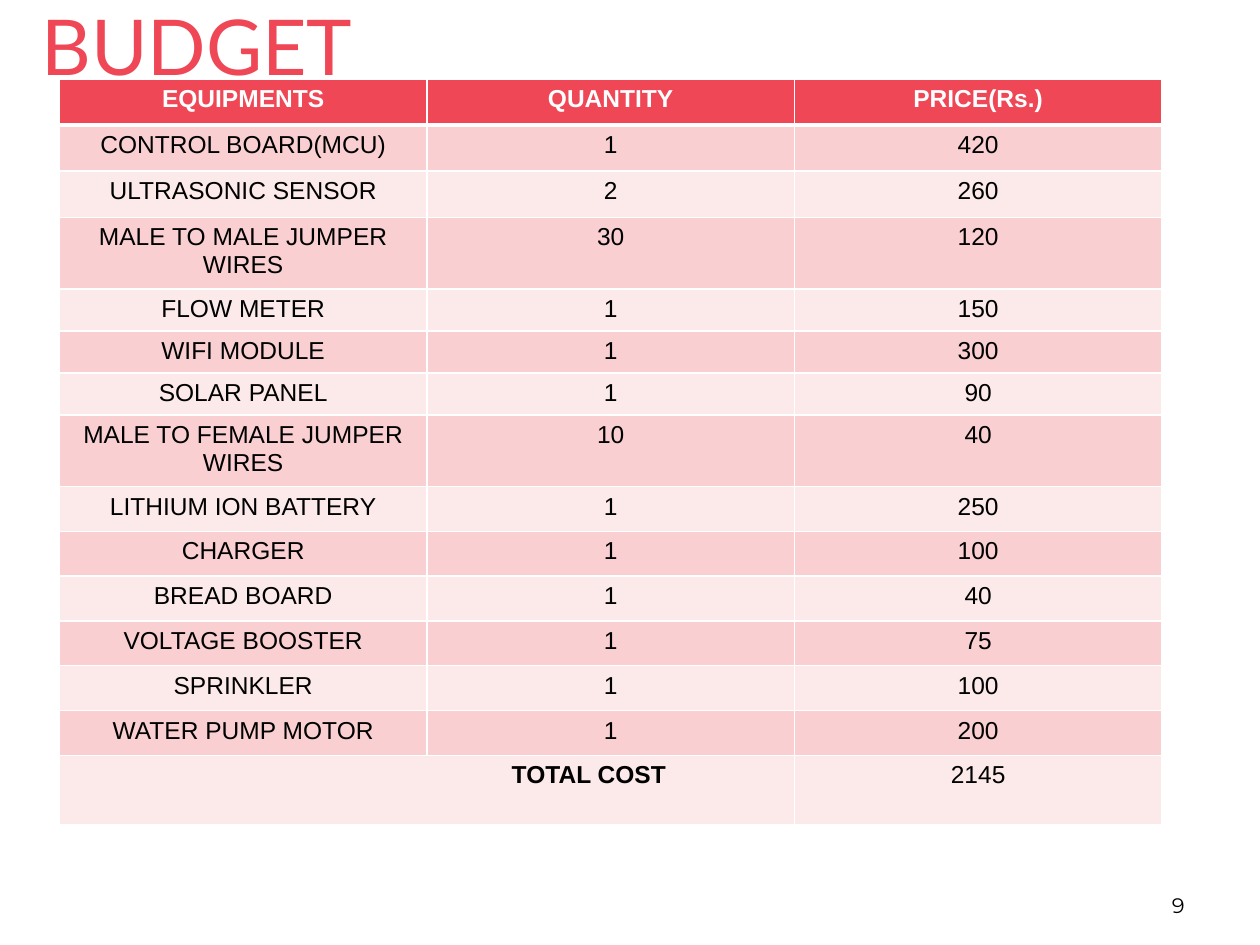
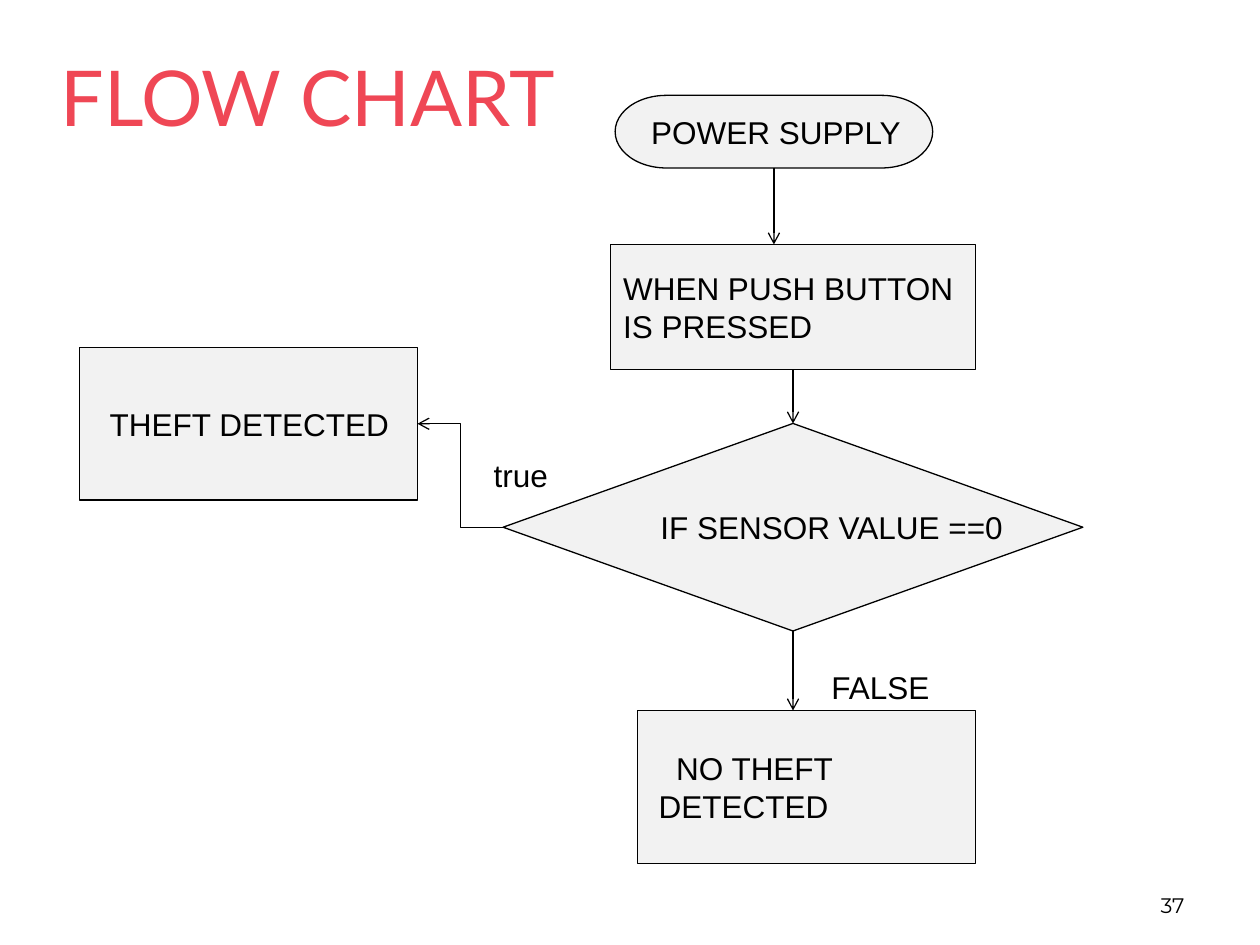
"""Build a two-slide project deck: a budget table and a flow chart."""
import lxml.etree
import pptx
import pptx.dml.color
import pptx.enum.shapes
import pptx.enum.text
import pptx.oxml.ns
import pptx.util

Pt = pptx.util.Pt
ALIGN = pptx.enum.text.PP_ALIGN
ANCHOR = pptx.enum.text.MSO_ANCHOR
SHAPE = pptx.enum.shapes.MSO_SHAPE
CONNECTOR = pptx.enum.shapes.MSO_CONNECTOR

COLORS = {"accent": "EF4755", "dark_band": "F9CFD1", "light_band": "FCE9E9",
          "box": "F2F2F2", "ink": "000000", "paper": "FFFFFF"}
BODY_FONT, TITLE_FONT, NUMBER_FONT = "Arial", "Lato", "Montserrat"
TOP, LEFT, BOTTOM, RIGHT = range(4)

HEADINGS = ("EQUIPMENTS", "QUANTITY", "PRICE(Rs.)")
ITEMS = [
    ("CONTROL BOARD(MCU)", 1, 420),
    ("ULTRASONIC SENSOR", 2, 260),
    ("MALE TO MALE JUMPER WIRES", 30, 120),
    ("FLOW METER", 1, 150),
    ("WIFI MODULE", 1, 300),
    ("SOLAR PANEL", 1, 90),
    ("MALE TO FEMALE JUMPER WIRES", 10, 40),
    ("LITHIUM ION BATTERY", 1, 250),
    ("CHARGER", 1, 100),
    ("BREAD BOARD", 1, 40),
    ("VOLTAGE BOOSTER", 1, 75),
    ("SPRINKLER", 1, 100),
    ("WATER PUMP MOTOR", 1, 200),
]
TOTAL_LABEL = "TOTAL COST"
TOTAL_INDENT = 185
ROW_HEIGHTS = [26.4] * 3 + [38.4] + [22.8] * 3 + [38.4] + [25.6] * 6 + [39.9]
COLUMN_WIDTH = 210

STEPS = {
    "power": (SHAPE.FLOWCHART_TERMINATOR, (351.5, 54.5, 181.5, 41.5), [("POWER SUPPLY", 5)]),
    "button": (SHAPE.FLOWCHART_PROCESS, (349, 139.7, 208.3, 71.3),
               [("WHEN PUSH BUTTON", 0), ("IS PRESSED", 0)]),
    "sensor": (SHAPE.FLOWCHART_DECISION, (287.5, 242, 331.3, 118.6),
               [("IF SENSOR VALUE ==0", 0)]),
    "theft": (SHAPE.FLOWCHART_PROCESS, (45.6, 198.5, 193, 87.3), [("THEFT DETECTED", 10)]),
    "no_theft": (SHAPE.FLOWCHART_PROCESS, (364.3, 406, 193, 87.3),
                 [("NO THEFT", 15), ("DETECTED", 5)]),
}
ARROWS = [
    (CONNECTOR.STRAIGHT, "power", BOTTOM, "button", None),
    (CONNECTOR.STRAIGHT, "button", BOTTOM, "sensor", TOP),
    (CONNECTOR.STRAIGHT, "sensor", BOTTOM, "no_theft", None),
    (CONNECTOR.ELBOW, "sensor", LEFT, "theft", RIGHT),
]
BRANCH_LABELS = [("true", (275, 257, 51, 29)), ("FALSE", (468, 378, 136, 29))]


def color(name):
    return pptx.dml.color.RGBColor.from_string(COLORS[name])


def add_xml(parent, tag, **attributes):
    return lxml.etree.SubElement(parent, pptx.oxml.ns.qn(tag), attributes)


def write(frame, lines, size, font=BODY_FONT, ink="ink", align=ALIGN.LEFT, bold=False):
    for index, (text, indent) in enumerate(lines):
        para = frame.add_paragraph() if index else frame.paragraphs[0]
        para.alignment = align
        if indent:
            para._p.get_or_add_pPr().set("marL", str(Pt(indent)))
        span = para.add_run()
        span.text = text
        span.font.size = Pt(size)
        span.font.name = font
        span.font.bold = bold
        span.font.color.rgb = color(ink)


def add_label(page, text, area, size=18, font=BODY_FONT, align=ALIGN.LEFT, anchor=ANCHOR.TOP):
    frame = page.shapes.add_textbox(*map(Pt, area)).text_frame
    frame.word_wrap = True
    frame.vertical_anchor = anchor
    write(frame, [(text, 0)], size, font, align=align)


def add_page(deck, title, title_area, number):
    page = deck.slides.add_slide(deck.slide_layouts[5])
    box = page.shapes.title
    box.left, box.top, box.width, box.height = map(Pt, title_area)
    box.text_frame.auto_size = pptx.enum.text.MSO_AUTO_SIZE.NONE
    box.text_frame.vertical_anchor = ANCHOR.MIDDLE
    write(box.text_frame, [(title, 0)], 44, TITLE_FONT, "accent")
    add_label(page, str(number), (516, 492, 168, 36), 12, NUMBER_FONT,
              ALIGN.RIGHT, ANCHOR.BOTTOM)
    return page


def style_cell(cell, fill, top_width, bottom_width):
    properties = cell._tc.get_or_add_tcPr()
    for side, width in (("L", 1), ("R", 1), ("T", top_width), ("B", bottom_width)):
        line = add_xml(properties, f"a:ln{side}", w=str(Pt(width)))
        add_xml(add_xml(line, "a:solidFill"), "a:srgbClr", val=COLORS["paper"])
    cell.fill.solid()
    cell.fill.fore_color.rgb = color(fill)


def add_budget(page):
    total = sum(price for _, _, price in ITEMS)
    rows = [HEADINGS, *ITEMS, (TOTAL_LABEL, "", total)]
    last = len(rows) - 1
    frame = page.shapes.add_table(len(rows), len(HEADINGS), Pt(34), Pt(45),
                                  Pt(COLUMN_WIDTH * len(HEADINGS)), Pt(sum(ROW_HEIGHTS)))
    table = frame.table
    for column in table.columns:
        column.width = Pt(COLUMN_WIDTH)
    for r, values in enumerate(rows):
        table.rows[r].height = Pt(ROW_HEIGHTS[r])
        fill = "accent" if r == 0 else "dark_band" if r % 2 else "light_band"
        for c, value in enumerate(values):
            cell = table.cell(r, c)
            style_cell(cell, fill, 3 if r == 1 else 1, 3 if r == 0 else 1)
            if value != "":
                is_total = value == TOTAL_LABEL
                write(cell.text_frame, [(str(value), TOTAL_INDENT if is_total else 0)], 14,
                      ink="paper" if r == 0 else "ink", align=ALIGN.CENTER,
                      bold=r == 0 or is_total)
    table.cell(last, 0).merge(table.cell(last, 1))


def outline(line):
    line.color.rgb = color("ink")
    line.width = Pt(0.75)


def add_step(page, kind, area, lines):
    box = page.shapes.add_shape(kind, *map(Pt, area))
    box.shadow.inherit = False
    box.fill.solid()
    box.fill.fore_color.rgb = color("box")
    outline(box.line)
    box.text_frame.word_wrap = False
    box.text_frame.vertical_anchor = ANCHOR.MIDDLE
    write(box.text_frame, lines, 18)
    return box


def add_arrow(page, kind, start, start_side, end, end_side):
    middle = start.left + start.width // 2
    arrow = page.shapes.add_connector(kind, middle, start.top + start.height, middle, end.top)
    arrow.begin_connect(start, start_side)
    if end_side is not None:
        arrow.end_connect(end, end_side)
    outline(arrow.line)
    properties = arrow._element.spPr
    add_xml(properties.find(pptx.oxml.ns.qn("a:ln")), "a:tailEnd", type="arrow")
    add_xml(properties, "a:effectLst")


def add_flow_chart(page):
    boxes = {name: add_step(page, *step) for name, step in STEPS.items()}
    for kind, start, start_side, end, end_side in ARROWS:
        add_arrow(page, kind, boxes[start], start_side, boxes[end], end_side)
    for text, area in BRANCH_LABELS:
        add_label(page, text, area)


def main():
    deck = pptx.Presentation()
    deck.slide_width, deck.slide_height = Pt(720), Pt(540)
    add_budget(add_page(deck, "BUDGET", (16.5, 0, 648, 51), 9))
    add_flow_chart(add_page(deck, "FLOW CHART", (27.4, 24.5, 301.7, 60.5), 37))
    deck.save("out.pptx")


if __name__ == "__main__":
    main()
